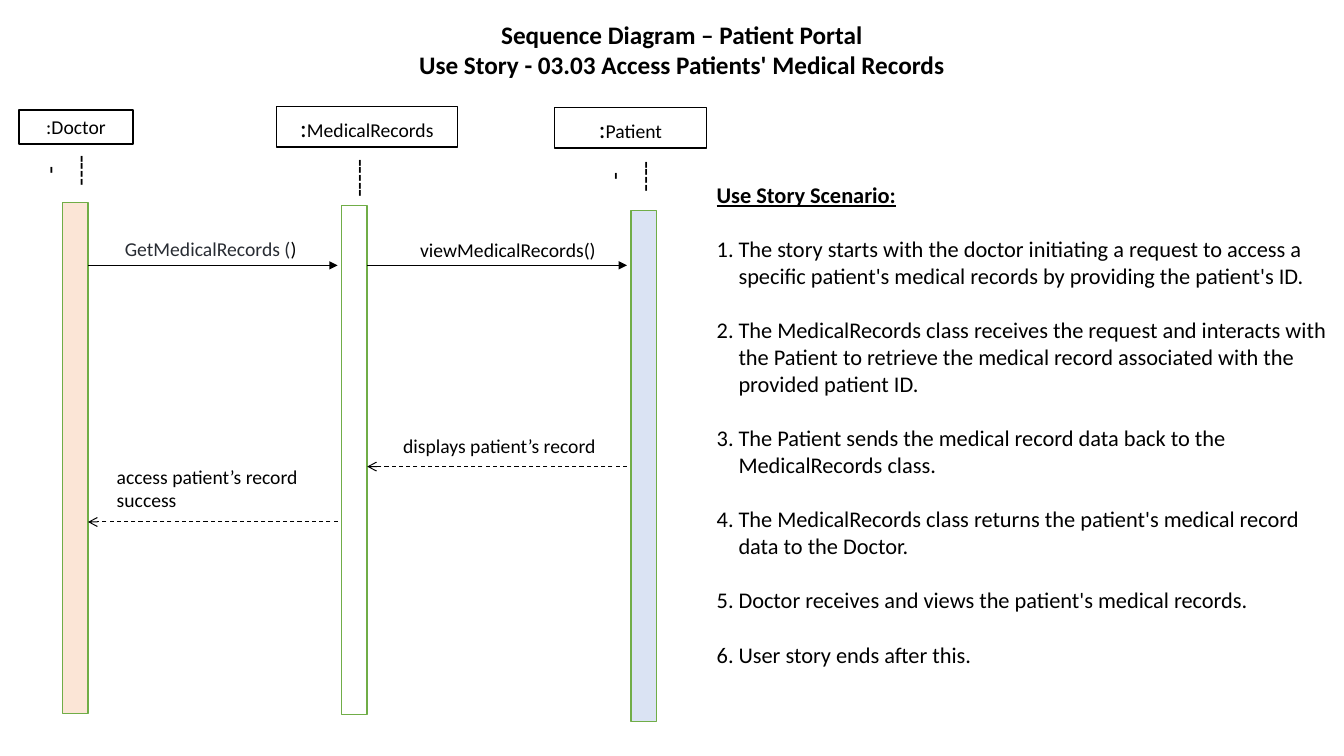
import pptx
import pptx.util
import pptx.dml.color
import pptx.enum.dml
import pptx.enum.shapes
import pptx.enum.text
import pptx.oxml.ns
import lxml.etree
from dataclasses import dataclass

SLIDE_WIDTH, SLIDE_HEIGHT = pptx.util.Inches(13.33), pptx.util.Inches(7.5)
COLUMNS = 160  # square grid cells, 90 rows high
ALIGN = pptx.enum.text.PP_ALIGN
ANCHOR = pptx.enum.text.MSO_ANCHOR


@dataclass(frozen=True)
class Theme:
    font: str = "Calibri"
    ink: str = "000000"
    call_ink: str = "282C33"
    bar_edge: str = "70AD47"
    doctor: str = "FBE5D6"
    records: str = "FFFFFF"
    patient: str = "DAE3F3"
    title: int = 18
    body: int = 16
    label: int = 14


@dataclass(frozen=True)
class Box:
    """A region in grid columns and rows."""
    left: float
    top: float
    width: float
    height: float

    def inner(self, left, top, width, height):
        return Box(self.left + left, self.top + top, width, height)

    def lengths(self):
        return [cells(count) for count in
                (self.left, self.top, self.width, self.height)]


THEME = Theme()


def cells(count):
    return pptx.util.Emu(round(count * SLIDE_WIDTH / COLUMNS))


def rgb(code):
    return pptx.dml.color.RGBColor.from_string(code)


def style(run, size, color=THEME.ink, bold=False, underline=False):
    font = run.font
    font.name, font.size = THEME.font, pptx.util.Pt(size)
    font.bold, font.underline = bold, underline
    font.color.rgb = rgb(color)


def write(frame, pieces, align=ALIGN.LEFT):
    """Fill the first paragraph with (text, size, color) pieces."""
    frame.word_wrap = True
    paragraph = frame.paragraphs[0]
    paragraph.alignment = align
    for text, size, color in pieces:
        run = paragraph.add_run()
        run.text = text
        style(run, size, color)


def place(placeholder, box):
    (placeholder.left, placeholder.top,
     placeholder.width, placeholder.height) = box.lengths()
    frame = placeholder.text_frame
    frame.word_wrap = True
    frame.auto_size = pptx.enum.text.MSO_AUTO_SIZE.NONE
    frame.vertical_anchor = ANCHOR.TOP
    return frame


def add_text(slide, box, pieces, align=ALIGN.LEFT):
    frame = slide.shapes.add_textbox(*box.lengths()).text_frame
    write(frame, pieces, align)
    return frame


def add_rectangle(slide, box, edge, fill=None):
    shape = slide.shapes.add_shape(
        pptx.enum.shapes.MSO_SHAPE.RECTANGLE, *box.lengths())
    shape.shadow.inherit = False
    if fill:
        shape.fill.solid()
        shape.fill.fore_color.rgb = rgb(fill)
    else:
        shape.fill.background()
    shape.line.color.rgb = rgb(edge)
    shape.line.width = pptx.util.Pt(1)
    return shape


def add_arrow(slide, start, end, y, reply):
    arrow = slide.shapes.add_connector(
        pptx.enum.shapes.MSO_CONNECTOR.STRAIGHT,
        cells(start), cells(y), cells(end), cells(y))
    arrow.line.color.rgb = rgb(THEME.ink)
    arrow.line.width = pptx.util.Pt(0.75 if reply else 1)
    if reply:
        arrow.line.dash_style = pptx.enum.dml.MSO_LINE.DASH
    qn = pptx.oxml.ns.qn
    properties = arrow._element.spPr
    head = lxml.etree.SubElement(properties.find(qn("a:ln")), qn("a:tailEnd"))
    head.set("type", "arrow" if reply else "triangle")
    lxml.etree.SubElement(properties, qn("a:effectLst"))


def add_title(slide, box):
    frame = place(slide.shapes.title, box)
    frame.text = ("Sequence Diagram – Patient Portal\n"
                  "Use Story - 03.03 Access Patients' Medical Records")
    for paragraph in frame.paragraphs:
        paragraph.alignment = ALIGN.CENTER
        paragraph.line_spacing = 1.0
        paragraph.space_before = pptx.util.Pt(0)
        style(paragraph.runs[0], THEME.title, bold=True)


def add_lifeline(slide, head, dashes, bar, name, colon_size, fill):
    # Named head
    head_frame = add_rectangle(slide, head, THEME.ink).text_frame
    head_frame.vertical_anchor = ANCHOR.MIDDLE
    write(head_frame, [(":", colon_size, THEME.ink),
                       (name, THEME.label, THEME.ink)], ALIGN.CENTER)
    # Dashes set as vertical text
    dash_frame = add_text(slide, dashes, [("-----", THEME.title, THEME.ink)],
                          ALIGN.CENTER)
    dash_frame._txBody.bodyPr.set("vert", "eaVert")
    # Activation bar
    add_rectangle(slide, bar, THEME.bar_edge, fill)


def add_diagram(slide, box):
    bar_width, gap = 3.04, 0.48
    # Name, colon size, fill, head, dashes, bar (left, top, height)
    lifelines = [
        ("Doctor", THEME.label, THEME.doctor, (2.28, 1.08, 13.56, 4.08),
         (6.48, 5.28, 6, 6.12), (7.44, 12.12, 60.84)),
        ("MedicalRecords", THEME.title, THEME.records, (32.88, 0.72, 21.6, 4.8),
         (39.6, 5.76, 6, 7.08), (40.68, 12.48, 60.6)),
        ("Patient", THEME.title, THEME.patient, (66, 0.84, 18.12, 4.8),
         (73.68, 6, 6, 6.12), (75.12, 13.08, 60.84)),
    ]
    bar_lefts = []
    for name, colon_size, fill, head, dashes, (left, top, height) in lifelines:
        add_lifeline(slide, box.inner(*head), box.inner(*dashes),
                     box.inner(left, top, bar_width, height),
                     name, colon_size, fill)
        bar_lefts.append(box.left + left)

    # Left lifeline, arrow row, is a reply, label place, label pieces
    messages = [
        (0, 19.6, False, (13.68, 15.6, 24.48, 4),
         [("GetMedicalRecords (", THEME.label, THEME.call_ink),
          (")", THEME.label, THEME.ink)]),
        (1, 19.6, False, (48.84, 15.72, 24.48, 4),
         [("viewMedicalRecords()", THEME.label, THEME.ink)]),
        (1, 43.56, True, (46.8, 39.12, 30.36, 4),
         [("displays patient’s record", THEME.label, THEME.ink)]),
        (0, 50.16, True, (12.72, 42.72, 24.48, 6.84),
         [("access patient’s record success", THEME.label, THEME.ink)]),
    ]
    for lane, row, reply, label, pieces in messages:
        ends = [bar_lefts[lane] + bar_width, bar_lefts[lane + 1] - gap]
        if reply:
            ends.reverse()
        add_arrow(slide, *ends, box.top + row, reply)
        add_text(slide, box.inner(*label), pieces)


def add_scenario(slide, box):
    steps = [
        "The story starts with the doctor initiating a request to access a\v"
        "specific patient's medical records by providing the patient's ID.",
        "The MedicalRecords class receives the request and interacts with\v"
        "the Patient to retrieve the medical record associated with the\v"
        "provided patient ID.",
        "The Patient sends the medical record data back to the\v"
        "MedicalRecords class.",
        "The MedicalRecords class returns the patient's medical record\v"
        "data to the Doctor.",
        "Doctor receives and views the patient's medical records.",
        "User story ends after this.",
    ]
    frame = place(slide.placeholders[1], box)
    frame.text = "\n".join(["Use Story Scenario:"] + steps)
    for index, paragraph in enumerate(frame.paragraphs):
        heading = index == 0
        indent = 0 if heading else cells(2.6)
        paragraph.alignment = ALIGN.LEFT
        paragraph.line_spacing = 1.0
        paragraph.space_before = pptx.util.Pt(0 if heading else 19.5)
        for run in paragraph.runs:
            style(run, THEME.body, bold=heading, underline=heading)
        properties = paragraph._p.get_or_add_pPr()
        properties.set("marL", str(int(indent)))
        properties.set("indent", str(-int(indent)))
        bullet = lxml.etree.SubElement(properties, pptx.oxml.ns.qn(
            "a:buNone" if heading else "a:buAutoNum"))
        if not heading:
            bullet.set("type", "arabicPeriod")


presentation = pptx.Presentation()
presentation.slide_width, presentation.slide_height = SLIDE_WIDTH, SLIDE_HEIGHT
sequence_slide = presentation.slides.add_slide(presentation.slide_layouts[1])
add_title(sequence_slide, Box(45, 1.68, 72.36, 8.52))
add_diagram(sequence_slide, Box(0, 12, 84, 75))
add_scenario(sequence_slide, Box(84.12, 21, 75.84, 63))
presentation.save("out.pptx")
